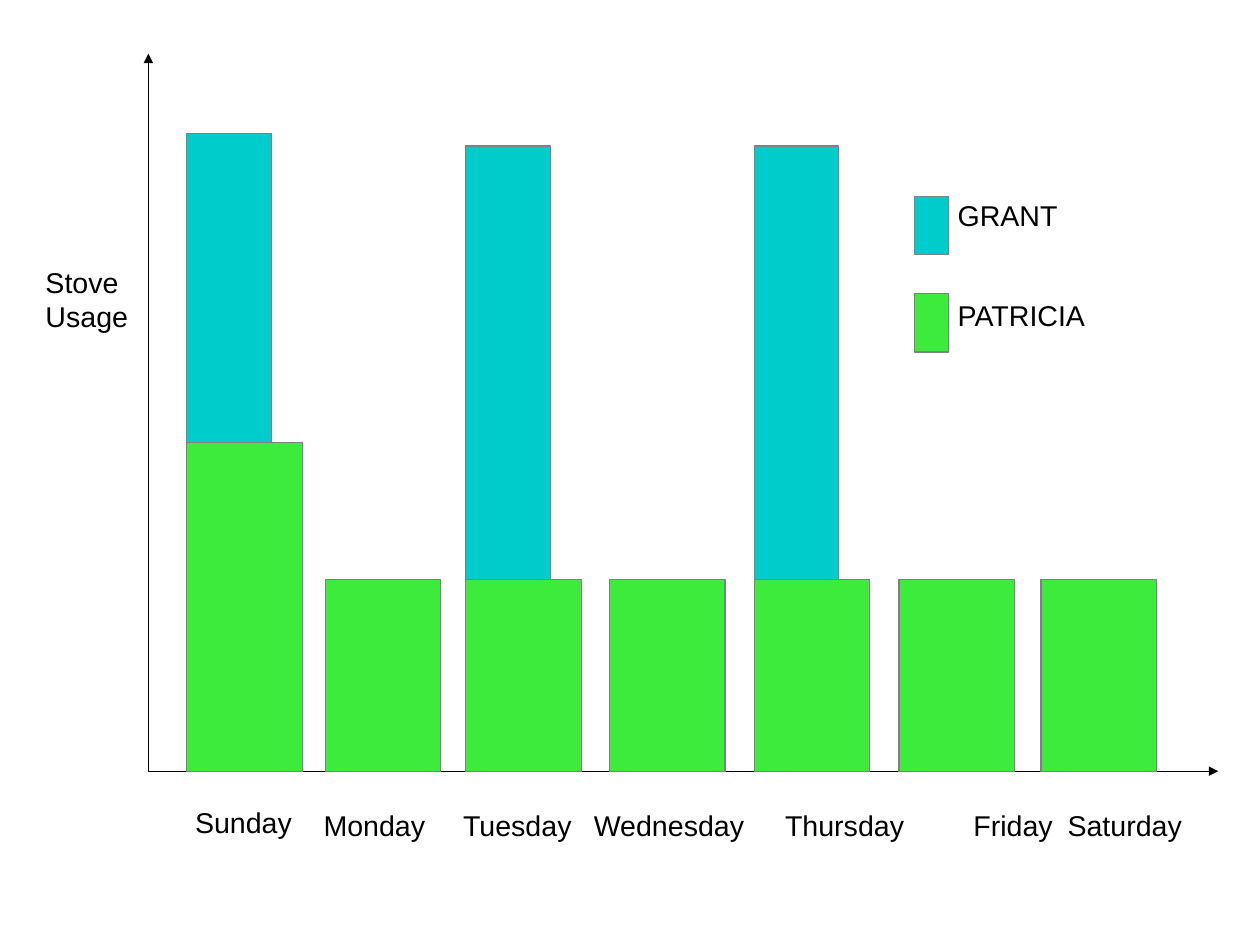
from pptx import Presentation
from pptx import util as u
from pptx.dml.color import RGBColor
from pptx.enum import shapes, text
from pptx.oxml import parse_xml
from pptx.oxml.ns import nsdecls

# Content: day, bar left, Patricia height, Grant height, label (left, top, width)
DAYS = [
    ("Sunday", 117.7, 207, 401.8, (108.2, 503.6, 82.8)),
    ("Monday", 205, 121, 0, (190.8, 505.2, 84.2)),
    ("Tuesday", 293.4, 121, 393.8, (280.8, 505.2, 86.4)),
    ("Wednesday", 384.1, 121, 0, (365.9, 505.2, 110)),
    ("Thursday", 475.1, 121, 393.8, (475.9, 505.2, 100.8)),
    ("Friday", 566.4, 121, 0, (569.5, 505.2, 100.8)),
    ("Saturday", 655.8, 121, 0, (650.9, 505.2, 100.8)),
]
TITLE = ["Stove", "Usage"]
# Legend: name, swatch top, label top
LEGEND = [("GRANT", 123.6, 121), ("PATRICIA", 185, 184)]

THEME = {
    "GRANT": RGBColor(0x00, 0xCC, 0xCC),
    "PATRICIA": RGBColor(0x3D, 0xEB, 0x3D),
    "edge": RGBColor(0x80, 0x80, 0x80),
    "ink": RGBColor(0, 0, 0),
    "font": "Arial",
    "size": 18,
    "line": 0.75,
}
WIDE = {"GRANT": 53.3, "PATRICIA": 72.7}
BASE, LEFT, RIGHT, TOP = 485.8, 93.5, 767.5, 33.8

deck = Presentation()
deck.slide_width, deck.slide_height = u.Pt(793.75), u.Pt(595.25)
slide = deck.slides.add_slide(deck.slide_layouts[6])


def block(name, x, y, w, h):
    box = slide.shapes.add_shape(
        shapes.MSO_SHAPE.RECTANGLE, u.Pt(x), u.Pt(y), u.Pt(w), u.Pt(h))
    box.shadow.inherit = False
    box.fill.solid()
    box.fill.fore_color.rgb = THEME[name]
    box.line.color.rgb = THEME["edge"]
    box.line.width = u.Pt(THEME["line"])


def bar(name, x, h):
    block(name, x, BASE - h, WIDE[name], h)


def axis(x, y):
    line = slide.shapes.add_connector(
        shapes.MSO_CONNECTOR.STRAIGHT,
        u.Pt(LEFT), u.Pt(BASE), u.Pt(x), u.Pt(y))
    line.line.color.rgb = THEME["ink"]
    line.line.width = u.Pt(THEME["line"])
    line.line._get_or_add_ln().append(
        parse_xml(f'<a:tailEnd {nsdecls("a")} type="triangle"/>'))
    line._element.spPr.append(parse_xml(f'<a:effectLst {nsdecls("a")}/>'))


def label(lines, x, y, w, h, align=text.PP_ALIGN.LEFT):
    frame = slide.shapes.add_textbox(
        u.Pt(x), u.Pt(y), u.Pt(w), u.Pt(h)).text_frame
    frame.word_wrap = False
    for i, words in enumerate(lines):
        para = frame.add_paragraph() if i else frame.paragraphs[0]
        para.alignment = align
        run = para.add_run()
        run.text = words
        run.font.name = THEME["font"]
        run.font.size = u.Pt(THEME["size"])
        run.font.color.rgb = THEME["ink"]


# Grant's bars, behind the axes
for day, x, pat, grant, spot in DAYS:
    if grant:
        bar("GRANT", x, grant)

# Axes
axis(RIGHT, BASE)
axis(LEFT, TOP)

# Patricia's bars and the day names
for day, x, pat, grant, (left, top, wide) in DAYS:
    bar("PATRICIA", x, pat)
    label([day], left, top, wide, 46.8, text.PP_ALIGN.RIGHT)

# Axis title and legend
label(TITLE, 21.6, 163.4, 100.8, 81.4)
for name, y, top in LEGEND:
    block(name, 576, y, 21.6, 36.7)
    label([name], 596.2, top, 129.6, 46.8)

deck.save("out.pptx")
